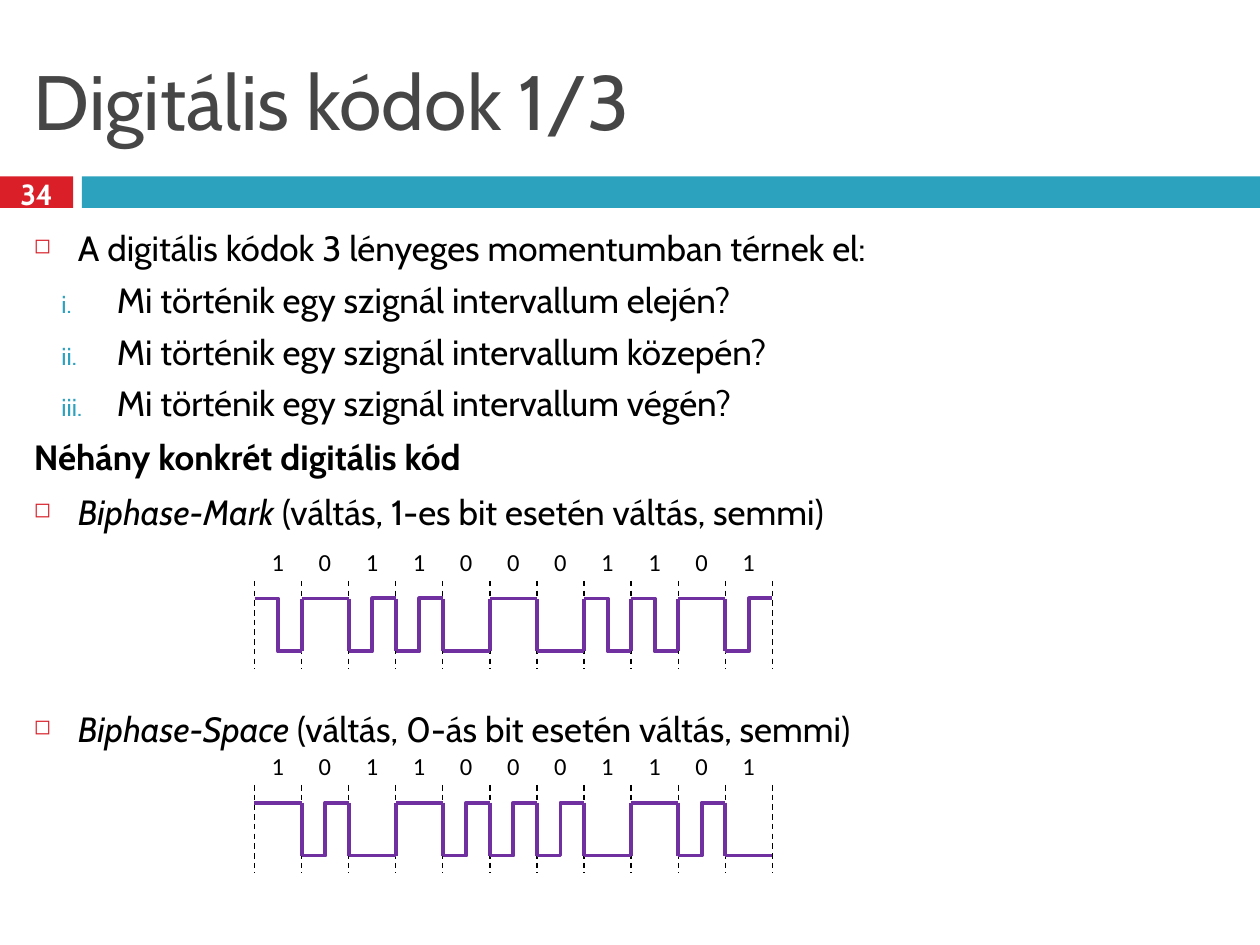
from dataclasses import dataclass

from lxml.etree import SubElement
from pptx import Presentation
from pptx.dml.color import RGBColor
from pptx.enum.dml import MSO_LINE
from pptx.enum.shapes import MSO_CONNECTOR, MSO_SHAPE
from pptx.enum.text import MSO_ANCHOR, PP_ALIGN
from pptx.oxml.ns import qn
from pptx.util import Inches, Pt

# Content
TITLE = "Digitális kódok 1/3"
PAGE = "34"
# kind, space before in points, runs as (text, style)
BODY = [
    ("square", 7, [("A digitális kódok 3 lényeges momentumban térnek el:", "")]),
    ("roman", 5.5, [("Mi történik egy szignál intervallum elején?", "")]),
    ("roman", 5.5, [("Mi történik egy szignál intervallum közepén?", "")]),
    ("roman", 5.5, [("Mi történik egy szignál intervallum végén?", "")]),
    ("plain", 7, [("Néhány konkrét digitális kód", "bold")]),
    ("square", 7, [("Biphase-Mark", "italic"),
                   (" (váltás, 1-es bit esetén váltás, semmi)", "")]),
    ("square", 100, [("Biphase-Space", "italic"),
                     (" (váltás, 0-ás bit esetén váltás, semmi)", "")]),
]
BITS = "10110001101"
# Each code: the bit that also switches mid-interval, and the top of its diagram
CODES = [("1", 4.29), ("0", 5.91)]


@dataclass(frozen=True)
class Theme:
    font: str = "Cabin"
    bit_font: str = "Calibri"
    title: str = "464646"
    text: str = "000000"
    light: str = "FFFFFF"
    red: str = "DA1F28"
    teal: str = "2DA2BF"
    signal: str = "7030A0"
    title_size: float = 44
    body_size: float = 20
    page_size: float = 16.6
    bit_size: float = 14
    grid_width: float = 0.79
    signal_width: float = 2.25


THEME = Theme()
# kind: bullet element, its attributes, colour, size in %, text indent, hanging, level
BULLETS = {
    "square": ("a:buChar", {"char": "◻"}, THEME.red, 60, 0.35, 0.35, 0),
    "roman": ("a:buAutoNum", {"type": "romanLcPeriod"}, THEME.teal, 70, 0.66, 0.44, 1),
}

# Layout in inches
WIDTH, HEIGHT = 10, 7.5
MARGIN = 0.17
BAND_TOP, BAND_HEIGHT, PAGE_WIDTH, BAND_LEFT = 1.4, 0.25, 0.58, 0.65
WAVE_LEFT, WAVE_RIGHT = 2.02, 6.13
BIT_WIDTH = (WAVE_RIGHT - WAVE_LEFT) / len(BITS)
GRID_DROP, GRID_HEIGHT = 0.32, 0.7
HIGH_DROP, SWING = 0.46, 0.42
BITS_INSET = 0.1

presentation = Presentation()
presentation.slide_width, presentation.slide_height = Inches(WIDTH), Inches(HEIGHT)
slide = presentation.slides.add_slide(presentation.slide_layouts[6])


def set_font(font, name, size, color, bold=None):
    font.name, font.size, font.bold = name, Pt(size), bold
    font.color.rgb = RGBColor.from_string(color)


def add_text(left, top, width, height, anchor=MSO_ANCHOR.TOP):
    frame = slide.shapes.add_textbox(*map(Inches, (left, top, width, height))).text_frame
    frame.word_wrap = True
    frame.vertical_anchor = anchor
    return frame


def add_band(left, width, color):
    band = slide.shapes.add_shape(
        MSO_SHAPE.RECTANGLE, *map(Inches, (left, BAND_TOP, width, BAND_HEIGHT)))
    band.shadow.inherit = False
    band.fill.solid()
    band.fill.fore_color.rgb = RGBColor.from_string(color)
    band.line.fill.background()


def add_line(x1, y1, x2, y2, color, width, kind=MSO_CONNECTOR.STRAIGHT, dash=None):
    line = slide.shapes.add_connector(kind, *map(Inches, (x1, y1, x2, y2)))
    line.line.color.rgb = RGBColor.from_string(color)
    line.line.width = Pt(width)
    if dash:
        line.line.dash_style = dash
    SubElement(line._element.spPr, qn("a:effectLst"))


def add_bullet(paragraph, kind):
    tag, attributes, color, percent, indent, hanging, level = BULLETS[kind]
    paragraph.level = level
    properties = paragraph._p.get_or_add_pPr()
    properties.set("marL", str(Inches(indent)))
    properties.set("indent", str(-Inches(hanging)))
    SubElement(SubElement(properties, qn("a:buClr")), qn("a:srgbClr"), val=color)
    SubElement(properties, qn("a:buSzPct"), val=str(percent * 1000))
    SubElement(properties, qn(tag), attributes)


def add_bits(top):
    """Write each bit over the middle of its interval, using centred tabs."""
    left = WAVE_LEFT - 0.01
    paragraph = add_text(left, top, 4.48, 0.34).paragraphs[0]
    paragraph.text = "".join("\t" + bit for bit in BITS)
    tabs = SubElement(paragraph._p.get_or_add_pPr(), qn("a:tabLst"))
    for column in range(len(BITS)):
        middle = WAVE_LEFT + (column + 0.5) * BIT_WIDTH
        SubElement(tabs, qn("a:tab"), pos=str(Inches(middle - left - BITS_INSET)), algn="ctr")
    set_font(paragraph.font, THEME.bit_font, THEME.bit_size, THEME.text)


def add_wave(switching_bit, top):
    """The signal switches at every boundary, and mid-interval on one bit value."""
    pen = THEME.signal, THEME.signal_width
    high = top + HIGH_DROP
    low = high + SWING
    level, other = high, low
    for column, bit in enumerate(BITS):
        left = WAVE_LEFT + column * BIT_WIDTH
        right = left + BIT_WIDTH
        if column:
            add_line(left, high, left, low, *pen)
        if bit == switching_bit:
            add_line(left, level, right, other, *pen, kind=MSO_CONNECTOR.ELBOW)
        else:
            add_line(left, level, right, level, *pen)
            level, other = other, level


# Header band, title and page number
add_band(0, PAGE_WIDTH, THEME.red)
add_band(BAND_LEFT, WIDTH - BAND_LEFT, THEME.teal)
heading = add_text(MARGIN, 0.25, WIDTH - 2 * MARGIN, 1.08, MSO_ANCHOR.MIDDLE).paragraphs[0]
heading.text = TITLE
set_font(heading.font, THEME.font, THEME.title_size, THEME.title)
page = add_text(0, 1.37, PAGE_WIDTH, 0.33, MSO_ANCHOR.MIDDLE).paragraphs[0]
page.text = PAGE
page.alignment = PP_ALIGN.CENTER
set_font(page.font, THEME.font, THEME.page_size, THEME.light, bold=True)

# Body text
body = add_text(MARGIN, 1.75, WIDTH - 2 * MARGIN, 5.58)
for number, (kind, space, runs) in enumerate(BODY):
    paragraph = body.add_paragraph() if number else body.paragraphs[0]
    if kind in BULLETS:
        add_bullet(paragraph, kind)
    paragraph.space_before = Pt(space)
    set_font(paragraph.font, THEME.font, THEME.body_size, THEME.text)
    for words, style in runs:
        run = paragraph.add_run()
        run.text = words
        if style:
            setattr(run.font, style, True)

# Signal diagrams
for switching_bit, top in CODES:
    for edge in range(len(BITS) + 1):
        x = WAVE_LEFT + edge * BIT_WIDTH
        add_line(x, top + GRID_DROP, x, top + GRID_DROP + GRID_HEIGHT,
                 THEME.text, THEME.grid_width, dash=MSO_LINE.DASH)
    add_wave(switching_bit, top)
    add_bits(top)

presentation.save("out.pptx")
